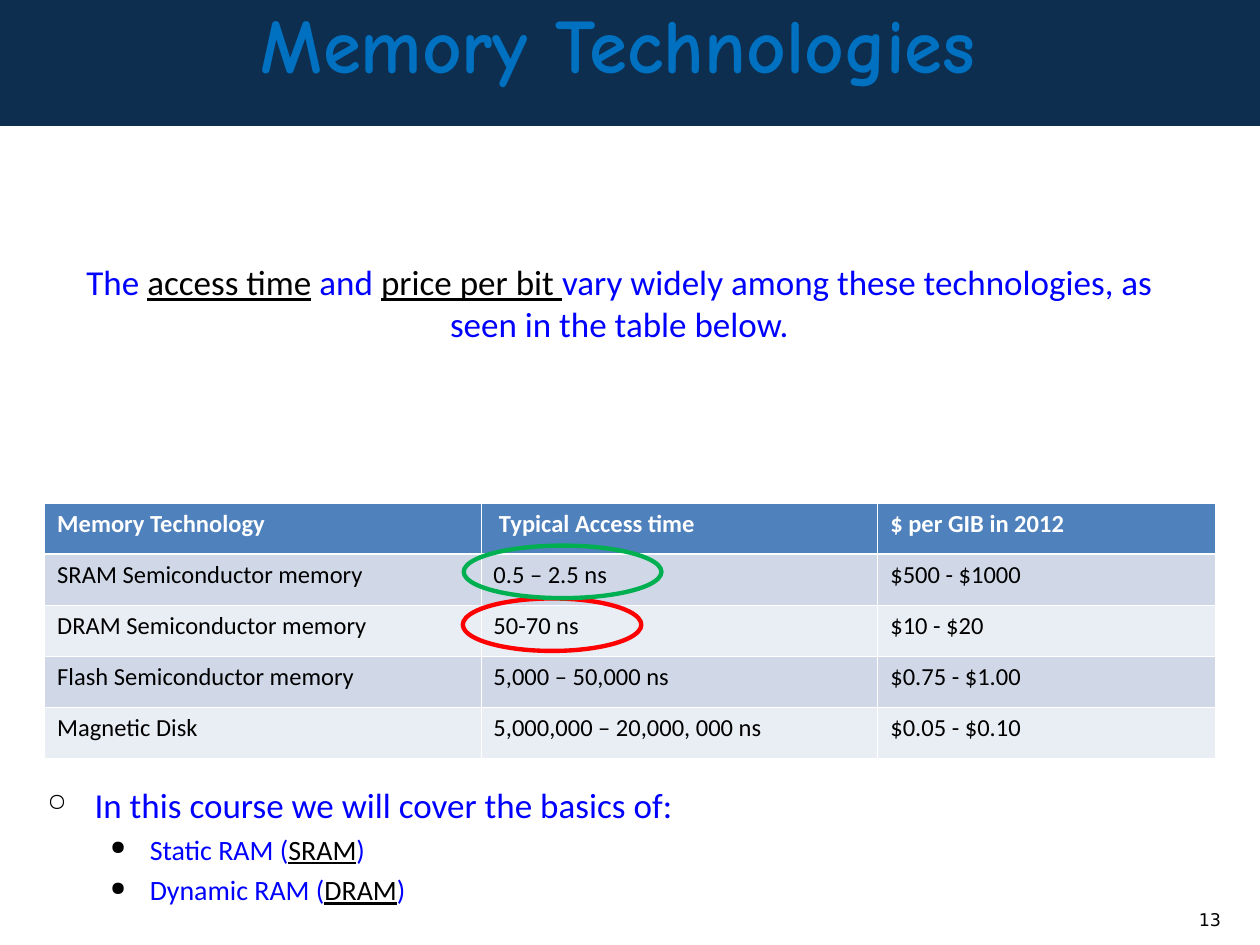
from lxml.etree import SubElement
from pptx import Presentation
from pptx.dml.color import RGBColor
from pptx.enum.shapes import MSO_SHAPE
from pptx.enum.text import MSO_ANCHOR, PP_ALIGN
from pptx.oxml.ns import qn
from pptx.util import Pt

# Underscores enclose underlined key terms
TITLE = "Memory Technologies"
INTRO = ("The _access time_ and _price per bit _vary widely among these "
         "technologies, as seen in the table below.")
ROWS = [
    ("Memory Technology", " Typical Access time", "$ per GIB in 2012"),
    ("SRAM Semiconductor memory", "0.5 – 2.5 ns", "$500 - $1000"),
    ("DRAM Semiconductor memory", "50-70 ns", "$10 - $20"),
    ("Flash Semiconductor memory", "5,000 – 50,000 ns", "$0.75 - $1.00"),
    ("Magnetic Disk", "5,000,000 – 20,000, 000 ns", "$0.05 - $0.10"),
]
TOPICS = [  # level, text
    (0, "In this course we will cover the basics of:"),
    (1, "Static RAM (_SRAM_)"),
    (1, "Dynamic RAM (_DRAM_)"),
]
LEVELS = [  # bullet, indent, hang, size, space before
    ("○", 27, 27, 20, 5),
    ("●", 58.5, 22.5, 16, 4),
]
RINGS = [  # left, top, width, height, colour
    (264.5, 342, 102, 30, "FF0000"),
    (265, 311.8, 113, 30, "00B050"),
]
WIDTHS = (249.3, 226.8, 192.8)
HIGH = 29.2
BLUE, BLACK, WHITE = "0000FF", "000000", "FFFFFF"
HEAD, BANDS = "4F81BD", ("D0D8E8", "E9EDF4")


def paint(color, hue):
    color.rgb = RGBColor.from_string(hue)


def fill(item, hue):
    item.fill.solid()
    paint(item.fill.fore_color, hue)


def write(para, text, size=20, hue=BLUE, font="Calibri", bold=False,
          align=PP_ALIGN.LEFT, before=0):
    para.alignment = align
    para.space_before = Pt(before)
    for i, part in enumerate(text.split("_")):
        if not part:
            continue
        key = i % 2 == 1
        run = para.add_run()
        run.text = part
        run.font.size, run.font.name, run.font.bold = Pt(size), font, bold
        run.font.underline = key
        paint(run.font.color, BLACK if key else hue)


def box(slide, left, top, width, height, inset=True):
    frame = slide.shapes.add_textbox(
        Pt(left), Pt(top), Pt(width), Pt(height)).text_frame
    frame.word_wrap = True
    if not inset:
        frame.margin_left = frame.margin_right = 0
        frame.margin_top = frame.margin_bottom = 0
    return frame


def bullet(para, mark, indent, hang):
    props = para._p.get_or_add_pPr()
    props.set("marL", str(Pt(indent)))
    props.set("indent", str(-Pt(hang)))
    SubElement(SubElement(props, qn("a:buClr")),
               qn("a:srgbClr")).set("val", BLACK)
    SubElement(props, qn("a:buSzPct")).set("val", "70000")
    SubElement(props, qn("a:buChar")).set("char", mark)


def border(cell, row):
    """Draw white cell edges, heavier between header and body."""
    props = cell._tc.get_or_add_tcPr()
    heavy = {0: "B", 1: "T"}.get(row)
    for i, side in enumerate("LRTB"):
        line = props.makeelement(qn("a:ln" + side), {})
        line.set("w", str(Pt(1.47 if side == heavy else 0.45)))
        solid = SubElement(line, qn("a:solidFill"))
        SubElement(solid, qn("a:srgbClr")).set("val", WHITE)
        props.insert(i, line)


def grid(slide):
    table = slide.shapes.add_table(
        len(ROWS), len(WIDTHS), Pt(25.5), Pt(287.4),
        Pt(sum(WIDTHS)), Pt(HIGH * len(ROWS))).table
    for col, width in zip(table.columns, WIDTHS):
        col.width = Pt(width)
    for r, row in enumerate(ROWS):
        table.rows[r].height = Pt(HIGH)
        for c, text in enumerate(row):
            cell = table.cell(r, c)
            fill(cell, BANDS[(r - 1) % 2] if r else HEAD)
            border(cell, r)
            write(cell.text_frame.paragraphs[0], text, size=14,
                  hue=BLACK if r else WHITE, bold=r == 0)


def main():
    deck = Presentation()
    deck.slide_width, deck.slide_height = Pt(720), Pt(540)
    slide = deck.slides.add_slide(deck.slide_layouts[6])

    band = slide.shapes.add_shape(MSO_SHAPE.RECTANGLE, 0, 0, Pt(720), Pt(72))
    band.shadow.inherit = False
    fill(band, "0D2E4F")
    band.line.fill.background()

    write(box(slide, 678, 516, 42, 24).paragraphs[0], "13", size=10,
          hue=BLACK, font="DejaVu Sans")
    title = box(slide, 0.7, 0, 705.6, 49, inset=False)
    title.vertical_anchor = MSO_ANCHOR.MIDDLE
    write(title.paragraphs[0], TITLE, size=44, hue="0070C0",
          font="Comic Neue", bold=True, align=PP_ALIGN.CENTER)

    grid(slide)
    write(box(slide, 30, 145.5, 648, 68).paragraphs[0], INTRO,
          align=PP_ALIGN.CENTER, before=5)

    for left, top, width, height, hue in RINGS:
        ring = slide.shapes.add_shape(
            MSO_SHAPE.OVAL, Pt(left), Pt(top), Pt(width), Pt(height))
        ring.shadow.inherit = False
        ring.fill.background()
        ring.line.width = Pt(2.5)
        paint(ring.line.color, hue)

    frame = box(slide, 20, 444, 648, 89)
    for i, (level, text) in enumerate(TOPICS):
        para = frame.add_paragraph() if i else frame.paragraphs[0]
        para.level = level
        mark, indent, hang, size, before = LEVELS[level]
        write(para, text, size=size, before=before)
        bullet(para, mark, indent, hang)

    deck.save("out.pptx")


if __name__ == "__main__":
    main()
